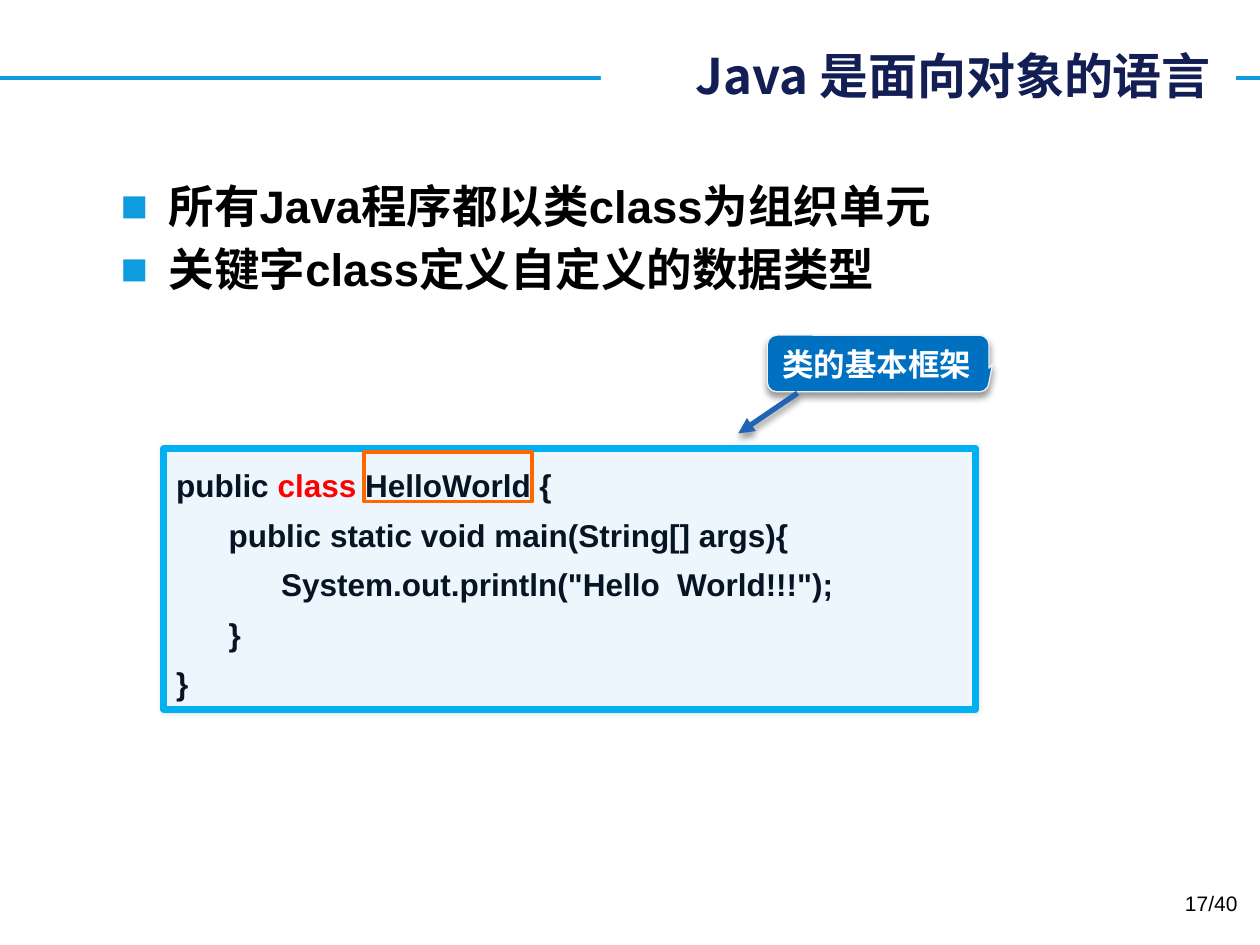
from lxml import etree
from pptx import Presentation
from pptx.dml.color import RGBColor
from pptx.enum import shapes, text
from pptx.oxml import ns
from pptx.util import Pt

THEME = {
    "sans": "Arial", "cjk": "Noto Sans CJK SC",
    "title": 28, "body": 26, "code": 18, "page": 12,
    "navy": "121E54", "sky": "0E9CDE", "black": "000000", "white": "FFFFFF",
    "ink": "071424", "red": "FF0000", "pale": "EDF5FD", "cyan": "00B0F0",
    "orange": "FF6600", "blue": "0070C0", "rim": "F2F2F2", "arrow": "2163B4",
}
TITLE = "Java 是面向对象的语言"
POINTS = ["所有Java程序都以类class为组织单元", "关键字class定义自定义的数据类型"]
# indent level, then (words, colour) runs
CODE = [
    (0, [("public ", "ink"), ("class", "red"), (" HelloWorld {", "ink")]),
    (1, [("public static void main(String[] args){", "ink")]),
    (2, [('System.out.println("Hello  World!!!");', "ink")]),
    (1, [("}", "ink")]),
    (0, [("}", "ink")]),
]
LABEL = "类的基本框架"
PAGE = "17/40"

RULE_Y = 44.64
TAB, HANG = 30, 27.36
GLOW = (10, 3, 0, 0)
DROP = (40, 4, 3, 90)


def rgb(name):
    return RGBColor.from_string(THEME[name])


def add(root, tag, **attrs):
    return etree.SubElement(root, ns.qn(tag), attrs)


def shade(item, alpha=0, blur=0, dist=0, angle=0):
    """Give the item an outer shadow, or none when alpha is 0."""
    fx = add(item._element.spPr, "a:effectLst")
    if alpha:
        cast = add(fx, "a:outerShdw", blurRad=str(Pt(blur)), dist=str(Pt(dist)),
                   dir=str(angle * 60000), algn="ctr", rotWithShape="0")
        tint = add(cast, "a:srgbClr", val=THEME["black"])
        add(tint, "a:alpha", val=str(alpha * 1000))


def paint(item, fill=None, line=None, width=0):
    if fill:
        item.fill.solid()
        item.fill.fore_color.rgb = rgb(fill)
    else:
        item.fill.background()
    if line:
        item.line.color.rgb = rgb(line)
        item.line.width = Pt(width)
    else:
        item.line.fill.background()


def shape(slide, kind, box, fill=None, line=None, width=0, glow=None):
    item = slide.shapes.add_shape(kind, *map(Pt, box))
    paint(item, fill, line, width)
    if glow:
        shade(item, *glow)
    else:
        item.shadow.inherit = False
    return item


def stroke(slide, start, end, color, width, glow=()):
    item = slide.shapes.add_connector(
        shapes.MSO_CONNECTOR.STRAIGHT, *map(Pt, start + end))
    item.line.color.rgb = rgb(color)
    item.line.width = Pt(width)
    shade(item, *glow)
    return item


def style(run, size, color, bold=True, face="sans"):
    font = run.font
    font.size, font.bold, font.name = Pt(size), bold, THEME[face]
    font.color.rgb = rgb(color)
    add(run._r.get_or_add_rPr(), "a:ea", typeface=THEME["cjk"])


def write(item, rows, size, bold=True, face="sans", side="LEFT",
          anchor="TOP", wrap=True):
    """Fill the item with rows of (words, colour) runs; return its paragraphs."""
    frame = item.text_frame
    frame.text = "\n".join("" for _ in rows)
    frame.word_wrap = wrap
    frame.vertical_anchor = getattr(text.MSO_ANCHOR, anchor)
    for para, runs in zip(frame.paragraphs, rows):
        para.alignment = getattr(text.PP_ALIGN, side)
        for words, color in runs:
            run = para.add_run()
            run.text = words
            style(run, size, color, bold, face)
    return frame.paragraphs


def indent(para, left, first=0):
    props = para._p.get_or_add_pPr()
    props.set("marL", str(Pt(left)))
    props.set("indent", str(Pt(first)))
    return props


def header(slide):
    stroke(slide, (0, RULE_Y), (720, RULE_Y), "sky", 2.25)
    box = shape(slide, shapes.MSO_SHAPE.RECTANGLE,
                (343.44, 22.32, 362.88, 41.04), "white")
    box.text_frame.margin_right = Pt(14.4)
    write(box, [[(TITLE, "navy")]], THEME["title"], face="cjk",
          side="RIGHT", anchor="MIDDLE")


def bullets(slide):
    box = slide.shapes.add_textbox(*map(Pt, (61.92, 95.76, 601.92, 404.64)))
    box.text_frame.margin_top = Pt(1.4)
    rows = [[(point, "black")] for point in POINTS]
    for para in write(box, rows, THEME["body"]):
        para.line_spacing = Pt(36)
        props = indent(para, HANG, -HANG)
        add(add(props, "a:buClr"), "a:srgbClr", val=THEME["sky"])
        add(props, "a:buFont", typeface=THEME["sans"])
        add(props, "a:buChar", char="■")


def listing(slide):
    kinds = shapes.MSO_SHAPE
    box = shape(slide, kinds.ROUNDED_RECTANGLE, (93.6, 256.32, 463.68, 149.04),
                "pale", "cyan", 4, GLOW)
    box.adjustments[0] = 0
    paras = write(box, [runs for _, runs in CODE], THEME["code"])
    for para, (level, _) in zip(paras, CODE):
        para.line_spacing = Pt(28.3)
        indent(para, level * TAB)
    shape(slide, kinds.RECTANGLE, (208.08, 258.48, 95.76, 28.08),
          line="orange", width=2.25)


def callout(slide):
    box = shape(slide, shapes.MSO_SHAPE.ROUNDED_RECTANGULAR_CALLOUT,
                (438.48, 191.52, 126.72, 32.4), "blue", "rim", 0.75, DROP)
    for spot, value in enumerate((0.516, 0.013, 0.167)):
        box.adjustments[spot] = value
    write(box, [[(LABEL, "white")]], THEME["code"], anchor="BOTTOM", wrap=False)
    arrow = stroke(slide, (455.76, 224.64), (421.92, 247.68), "arrow", 3, DROP)
    add(arrow.line._get_or_add_ln(), "a:tailEnd", type="triangle")


def footer(slide):
    box = slide.shapes.add_textbox(*map(Pt, (546.48, 505.44, 167.76, 28.8)))
    write(box, [[(PAGE, "black")]], THEME["page"], bold=False, side="RIGHT")


def main():
    deck = Presentation()
    deck.slide_width, deck.slide_height = Pt(720), Pt(540)
    slide = deck.slides.add_slide(deck.slide_layouts[6])
    for part in (header, bullets, listing, callout, footer):
        part(slide)
    deck.save("out.pptx")


if __name__ == "__main__":
    main()
